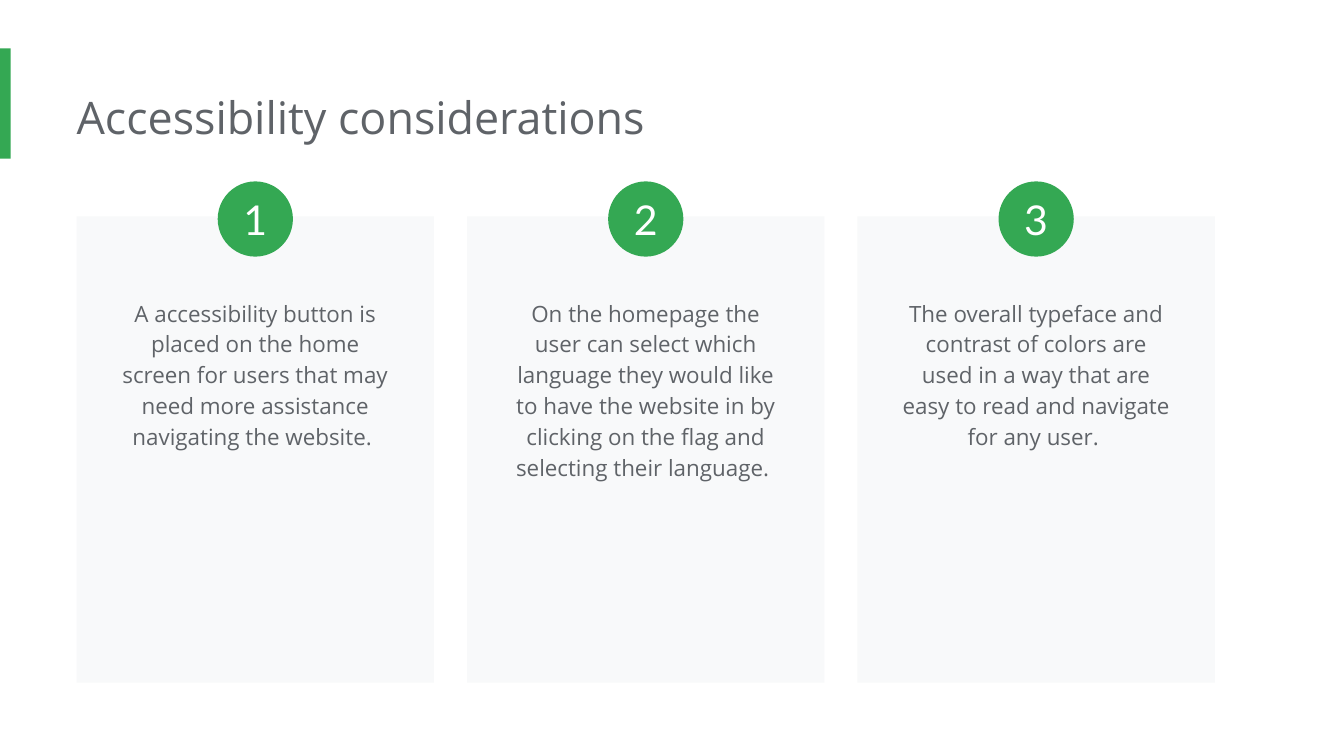
from pptx import Presentation
from pptx.dml.color import RGBColor
from pptx.enum.shapes import MSO_SHAPE
from pptx.enum.text import MSO_ANCHOR, MSO_AUTO_SIZE, PP_ALIGN
from pptx.util import Inches, Pt

RECTANGLE, OVAL = MSO_SHAPE.RECTANGLE, MSO_SHAPE.OVAL
TOP, MIDDLE = MSO_ANCHOR.TOP, MSO_ANCHOR.MIDDLE
LEFT, CENTER = PP_ALIGN.LEFT, PP_ALIGN.CENTER
FIT_SHAPE = MSO_AUTO_SIZE.SHAPE_TO_FIT_TEXT
TITLE_ONLY = 5

COLORS = {"green": "34A853", "card": "F8F9FA", "text": "5F6368", "white": "FFFFFF"}

# Each text with the height of its box
CONSIDERATIONS = [
    ("A accessibility button is placed on the home screen for users that may "
     "need more assistance navigating the website. ", 1.36),
    ("On the homepage the user can select which language they would like to have "
     "the website in by clicking on the flag and selecting their language. ", 1.6),
    ("The overall typeface and contrast of colors are used in a way that are "
     "easy to read and navigate for any user. ", 1.36),
]


def color(name):
    return RGBColor.from_string(COLORS[name])


def add_filled_shape(page, kind, left, top, width, height, fill):
    shape = page.shapes.add_shape(
        kind, Inches(left), Inches(top), Inches(width), Inches(height))
    shape.shadow.inherit = False
    shape.fill.solid()
    shape.fill.fore_color.rgb = color(fill)
    shape.line.fill.background()
    return shape


def write_text(box, text, size, font, fill, align, anchor, margins):
    """Fill a box with one formatted run; margins are left, top, right, bottom."""
    frame = box.text_frame
    frame.word_wrap = True
    frame.vertical_anchor = anchor
    (frame.margin_left, frame.margin_top,
     frame.margin_right, frame.margin_bottom) = map(Inches, margins)
    para = frame.paragraphs[0]
    para.alignment = align
    span = para.add_run()
    span.text = text
    span.font.size = Pt(size)
    span.font.name = font
    span.font.color.rgb = color(fill)
    return para


def add_heading(page, left, top, width, height, text):
    add_filled_shape(page, RECTANGLE, 0, top - 0.21, 0.08, 0.82, "green")
    title = page.shapes.title
    title.left, title.top = Inches(left), Inches(top)
    title.width, title.height = Inches(width), Inches(height)
    write_text(title, text, 24, "Open Sans", "text", LEFT, TOP, (0, 0.1, 0.1, 0.1))
    title.text_frame.auto_size = FIT_SHAPE


def add_card(page, left, top, width, height, number, text, text_height):
    """Place a panel with centred text and a numbered circle on its top edge."""
    add_filled_shape(page, RECTANGLE, left, top, width, height, "card")

    inset = 0.21
    box = page.shapes.add_textbox(
        Inches(left + inset), Inches(top + 0.49),
        Inches(width - 2 * inset), Inches(text_height))
    para = write_text(box, text, 12, "Open Sans", "text", CENTER, TOP, (0.1,) * 4)
    para.line_spacing = 1.15
    box.text_frame.auto_size = FIT_SHAPE

    diameter = 0.56
    badge = add_filled_shape(page, OVAL, left + (width - diameter) / 2, top - 0.26,
                             diameter, diameter, "green")
    write_text(badge, str(number), 22, "Lato", "white", CENTER, MIDDLE, (0,) * 4)


def add_card_row(page, left, top, width, height, cards):
    card_width = 2.66
    pitch = (width - card_width) / (len(cards) - 1)
    for index, (text, text_height) in enumerate(cards):
        add_card(page, left + index * pitch, top, card_width, height,
                 index + 1, text, text_height)


def main():
    deck = Presentation()
    deck.slide_width = Inches(10)
    deck.slide_height = Inches(10 * 9 / 16)
    page = deck.slides.add_slide(deck.slide_layouts[TITLE_ONLY])
    page.background.fill.solid()
    page.background.fill.fore_color.rgb = color("white")
    add_heading(page, 0.57, 0.57, 7.66, 0.61, "Accessibility considerations")
    add_card_row(page, 0.57, 1.61, 8.47, 3.47, CONSIDERATIONS)
    deck.save("out.pptx")


if __name__ == "__main__":
    main()
